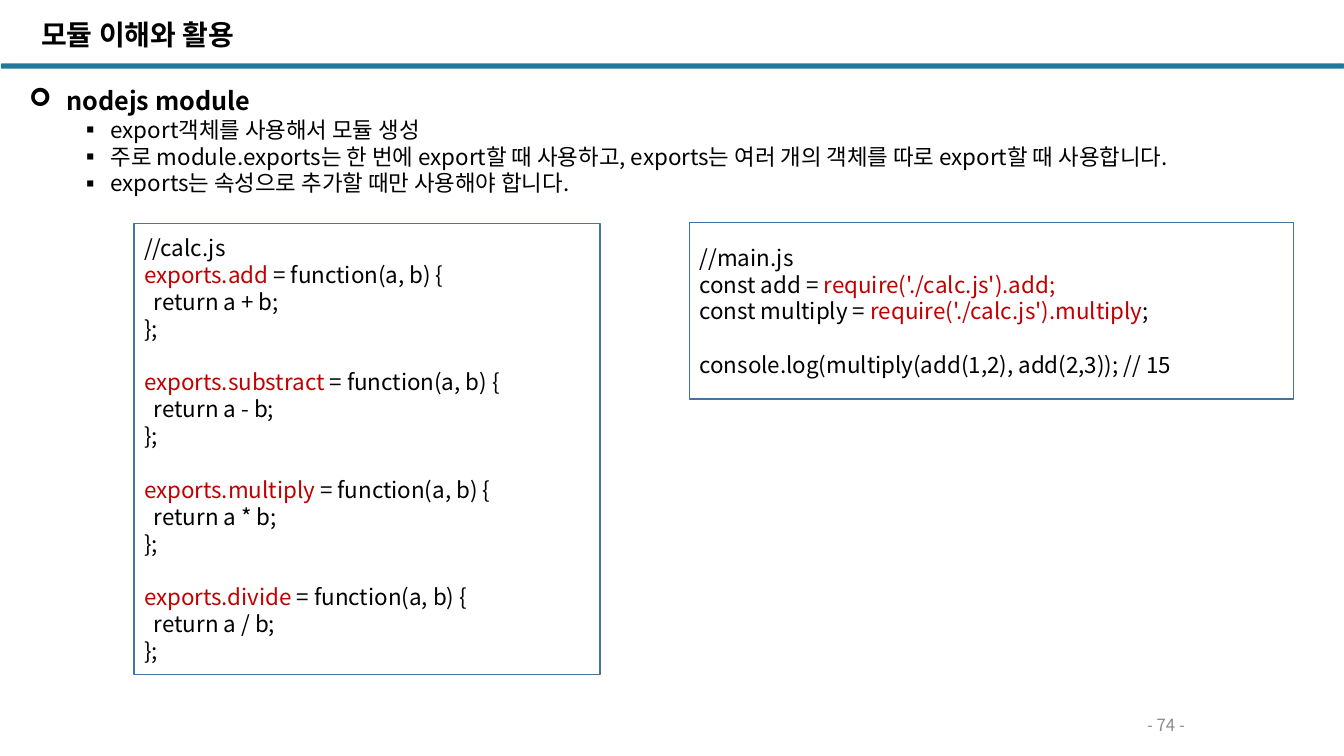
from lxml import etree
from pptx import Presentation
from pptx.dml.color import RGBColor
from pptx.enum.shapes import MSO_SHAPE
from pptx.enum.text import MSO_ANCHOR, PP_ALIGN
from pptx.oxml.ns import qn
from pptx.util import Inches, Pt

RECT, ROUNDED = MSO_SHAPE.RECTANGLE, MSO_SHAPE.ROUNDED_RECTANGLE
TOP, MIDDLE = MSO_ANCHOR.TOP, MSO_ANCHOR.MIDDLE
LEFT, CENTER = PP_ALIGN.LEFT, PP_ALIGN.CENTER
FONT = "Noto Sans CJK KR"
COLORS = {"text": "000000", "key": "C00000", "bar": "22779B",
          "border": "43739E", "page": "8C8C8C"}
CODE_LINE = Pt(19.2)

BULLETS = [
    "export객체를 사용해서 모듈 생성",
    "주로 module.exports는 한 번에 export할 때 사용하고, "
    "exports는 여러 개의 객체를 따로 export할 때 사용합니다.",
    "exports는 속성으로 추가할 때만 사용해야 합니다.",
]
OPERATIONS = [("add", "+"), ("substract", "-"), ("multiply", "*"), ("divide", "/")]
MAIN_BLOCKS = [
    [
        [("//main.js", "text")],
        [("const add = ", "text"), ("require('./calc.js').add;", "key")],
        [("const multiply = ", "text"),
         ("require('./calc.js').multiply", "key"), (";", "text")],
    ],
    [[("console.log(multiply(add(1,2), add(2,3)); // 15", "text")]],
]


def rgb(name):
    return RGBColor.from_string(COLORS[name])


def add_run(p, text, size, color="text", bold=False):
    r = p.add_run()
    r.text = text
    r.font.size = Pt(size)
    r.font.bold = bold
    r.font.color.rgb = rgb(color)
    r.font.name = FONT
    ea = etree.SubElement(r.font._element, qn("a:ea"))
    ea.set("typeface", FONT)


def add_bullet(p, char, margin, hanging, font):
    pPr = p._p.get_or_add_pPr()
    pPr.set("marL", str(Inches(margin)))
    pPr.set("indent", str(-Inches(hanging)))
    etree.SubElement(pPr, qn("a:buFont")).set("typeface", font)
    etree.SubElement(pPr, qn("a:buChar")).set("char", char)


def add_textbox(s, box, anchor=TOP):
    tf = s.shapes.add_textbox(*map(Inches, box)).text_frame
    tf.word_wrap = True
    tf.vertical_anchor = anchor
    return tf


def add_header(s, x, y, w, h):
    bar = s.shapes.add_shape(ROUNDED, *map(Inches, (x, y + h, w, 0.05)))
    bar.adjustments[0] = 0.13
    bar.shadow.inherit = False
    bar.fill.solid()
    bar.fill.fore_color.rgb = rgb("bar")
    bar.line.fill.background()
    p = add_textbox(s, (x + 0.3, y, 7.9, h)).paragraphs[0]
    p.line_spacing = 0.9
    add_run(p, "모듈 이해와 활용", 20, bold=True)


def add_summary(s, *box):
    tf = add_textbox(s, box)
    p = tf.paragraphs[0]
    add_bullet(p, "➢", 0.37, 0.37, "Wingdings")
    add_run(p, "nodejs module", 18, bold=True)
    for text in BULLETS:
        p = tf.add_paragraph()
        p.level = 1
        add_bullet(p, "▪", 0.81, 0.31, FONT)
        add_run(p, text, 16)


def add_code(s, blocks, *box):
    sp = s.shapes.add_shape(RECT, *map(Inches, box))
    sp.shadow.inherit = False
    sp.fill.background()
    sp.line.color.rgb = rgb("border")
    sp.line.width = Pt(1)
    tf = sp.text_frame
    tf.word_wrap = True
    tf.vertical_anchor = MIDDLE
    for b, block in enumerate(blocks):
        for i, line in enumerate(block):
            p = tf.add_paragraph() if b or i else tf.paragraphs[0]
            p.alignment = LEFT
            if b and i == 0:
                p.space_before = CODE_LINE
            for text, color in line:
                add_run(p, text, 16, color)


def calc_blocks():
    blocks = [
        [
            [(f"exports.{name}", "key"), (" = function(a, b) {", "text")],
            [(f"  return a {sign} b;", "text")],
            [("};", "text")],
        ]
        for name, sign in OPERATIONS
    ]
    blocks[0].insert(0, [("//calc.js", "text")])
    return blocks


def add_page_number(s, *box):
    p = add_textbox(s, box, MIDDLE).paragraphs[0]
    p.alignment = CENTER
    add_run(p, "- 74 -", 12, "page")


def main():
    prs = Presentation()
    prs.slide_width, prs.slide_height = Inches(13.33), Inches(7.5)
    s = prs.slides.add_slide(prs.slide_layouts[6])
    add_header(s, 0.01, 0.16, 13.32, 0.47)
    add_summary(s, 0.19, 0.8, 12.64, 1.25)
    add_code(s, calc_blocks(), 1.33, 2.22, 4.62, 4.47)
    add_code(s, MAIN_BLOCKS, 6.84, 2.21, 5.99, 1.75)
    add_page_number(s, 10.01, 7.08, 3.11, 0.23)
    prs.save("out.pptx")


if __name__ == "__main__":
    main()
